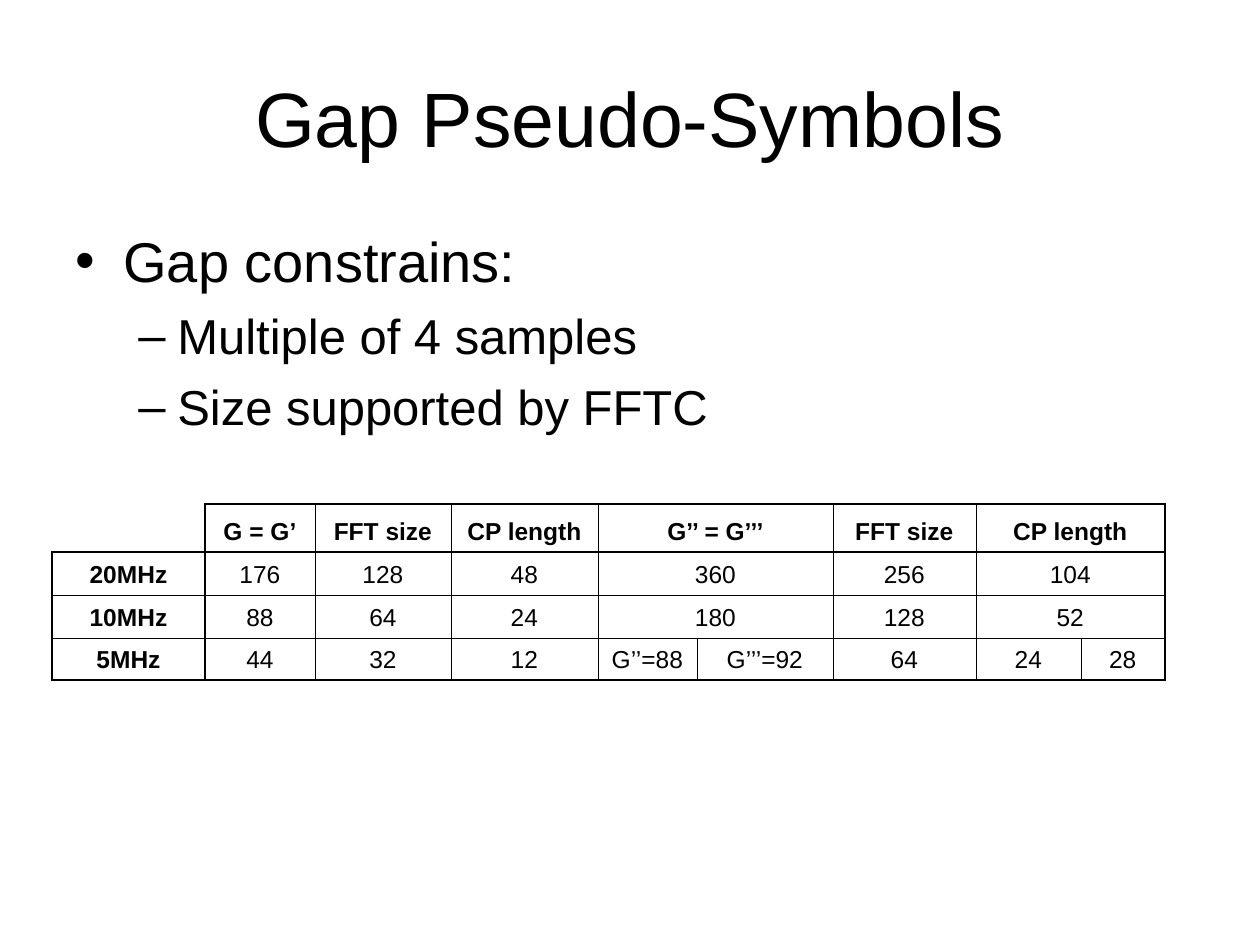
from lxml import etree
from pptx import Presentation
from pptx.dml.color import RGBColor
from pptx.enum.text import MSO_ANCHOR, PP_ALIGN
from pptx.oxml.ns import qn
from pptx.util import Pt

CENTER = PP_ALIGN.CENTER
MIDDLE = MSO_ANCHOR.MIDDLE
BOTTOM = MSO_ANCHOR.BOTTOM
TITLE_ONLY = 5
FONT = "Arial"
BLACK = "000000"
THICK, THIN = 1.08, 0.11

POINTS = [
    (0, "Gap constrains:"),
    (1, "Multiple of 4 samples"),
    (1, "Size supported by FFTC"),
]
LEVELS = [
    {"bullet": "•", "margin": 48, "indent": -48, "size": 32, "before": 8},
    {"bullet": "–", "margin": 102, "indent": -39, "size": 28, "before": 7},
]
COLUMNS = [153, 110, 136, 147, 99, 136, 143, 105, 84]
ROWS = [48, 43, 43, 42]
CELLS = [
    ["", "G = G’", "FFT size", "CP length", "G’’ = G’’’", None, "FFT size", "CP length", None],
    ["20MHz", "176", "128", "48", "360", None, "256", "104", None],
    ["10MHz", "88", "64", "24", "180", None, "128", "52", None],
    ["5MHz", "44", "32", "12", "G’’=88", "G’’’=92", "64", "24", "28"],
]


def px(length):
    """Turn slide pixels into EMU."""
    return round(length * 914400 / 126)


def color(code):
    """Turn a hex string into a colour."""
    return RGBColor.from_string(code)


def place(shape, box):
    """Move and size a shape to a pixel box."""
    shape.left, shape.top, shape.width, shape.height = map(px, box)


def style(para, size, bold=False):
    """Set the font of a whole paragraph."""
    font = para.font
    font.name, font.size, font.bold = FONT, Pt(size), bold
    font.color.rgb = color(BLACK)


def add_bullet(para, level):
    """Give a paragraph its hanging bullet."""
    properties = para._p.get_or_add_pPr()
    properties.set("marL", str(px(level["margin"])))
    properties.set("indent", str(px(level["indent"])))
    font = etree.Element(qn("a:buFont"), typeface=FONT)
    mark = etree.Element(qn("a:buChar"), char=level["bullet"])
    spacing = properties.find(qn("a:spcBef"))
    spacing.addnext(font)
    font.addnext(mark)


def add_title(page, box):
    """Fill the title placeholder."""
    title = page.shapes.title
    place(title, box)
    frame = title.text_frame
    frame.text = "Gap Pseudo-Symbols"
    frame.vertical_anchor = MIDDLE
    para = frame.paragraphs[0]
    para.alignment = CENTER
    style(para, 44)


def add_points(page, box):
    """Write the bulleted list of constraints."""
    frame = page.shapes.add_textbox(*map(px, box)).text_frame
    frame.word_wrap = True
    for index, (depth, text) in enumerate(POINTS):
        para = frame.add_paragraph() if index else frame.paragraphs[0]
        level = LEVELS[depth]
        para.text, para.level = text, depth
        para.space_before = Pt(level["before"])
        style(para, level["size"])
        add_bullet(para, level)


def add_border(cell, side, width):
    """Draw one side of a cell, or hide it when the width is zero."""
    line = etree.SubElement(cell._tc.get_or_add_tcPr(), qn(f"a:ln{side}"), w=str(Pt(width)))
    if width:
        fill = etree.SubElement(line, qn("a:solidFill"))
        etree.SubElement(fill, qn("a:srgbClr"), val=BLACK)
    else:
        etree.SubElement(line, qn("a:noFill"))


def frame_cell(cell, row, column):
    """Draw thick lines around header, labels and body, thin ones between."""
    last_column = column + cell.span_width - 1 if cell.is_merge_origin else column
    thick = {
        "L": column <= 1,
        "R": last_column in (0, len(COLUMNS) - 1),
        "T": row <= 1,
        "B": row in (0, len(ROWS) - 1),
    }
    corner = row == column == 0
    for side, is_thick in thick.items():
        if side == "L" and cell.is_spanned:
            continue
        hidden = corner and side in "LT"
        add_border(cell, side, 0 if hidden else THICK if is_thick else THIN)


def add_gap_table(page, box):
    """Build the table of gap sizes per bandwidth."""
    table = page.shapes.add_table(len(ROWS), len(COLUMNS), *map(px, box)).table
    table.first_row = table.horz_banding = False
    for column, width in zip(table.columns, COLUMNS):
        column.width = px(width)
    for row, height in zip(table.rows, ROWS):
        row.height = px(height)
    for r, texts in enumerate(CELLS):
        for c, text in enumerate(texts):
            if text is None:
                table.cell(r, c - 1).merge(table.cell(r, c))
        for c, text in enumerate(texts):
            cell = table.cell(r, c)
            frame_cell(cell, r, c)
            cell.fill.background()
            cell.vertical_anchor = BOTTOM
            para = cell.text_frame.paragraphs[0]
            para.alignment = CENTER
            style(para, 14, bold=r == 0 or c == 0)
            if text:
                para.text = text


def main():
    """Build and save the slide."""
    deck = Presentation()
    deck.slide_width, deck.slide_height = px(1260), px(945)
    page = deck.slides.add_slide(deck.slide_layouts[TITLE_ONLY])
    add_title(page, (63, 38, 1134, 158))
    add_points(page, (63, 220, 1134, 624))
    add_gap_table(page, (52, 504, sum(COLUMNS), sum(ROWS)))
    deck.save("out.pptx")


if __name__ == "__main__":
    main()
